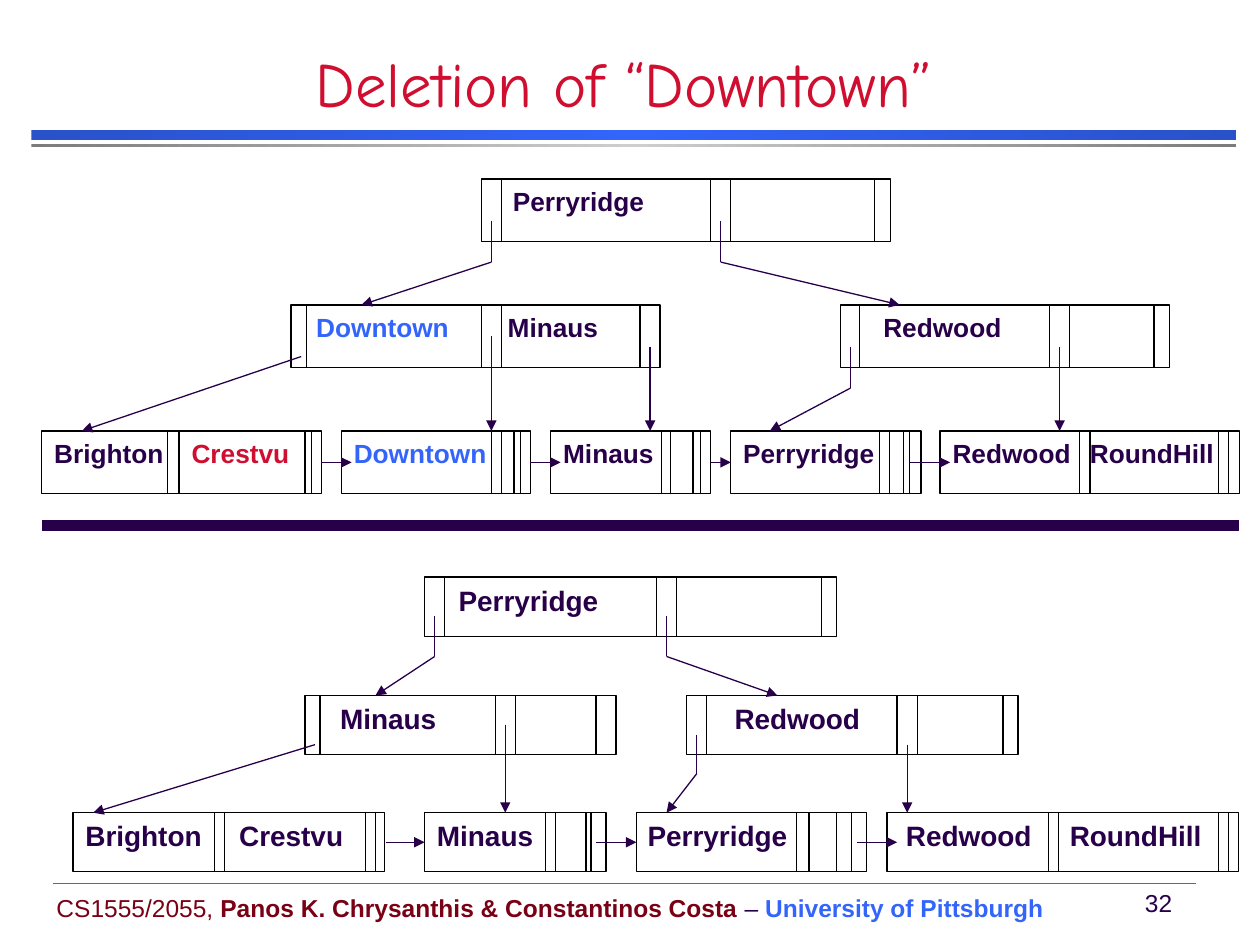
import copy

import pptx
import pptx.dml.color
import pptx.enum.dml
import pptx.enum.shapes
import pptx.enum.text
import pptx.oxml.ns
import pptx.util
from lxml import etree

RGBColor = pptx.dml.color.RGBColor
ALIGN = pptx.enum.text.PP_ALIGN
ANCHOR = pptx.enum.text.MSO_ANCHOR
qn = pptx.oxml.ns.qn

WHITE = RGBColor(0xFF, 0xFF, 0xFF)
BLACK = RGBColor(0x00, 0x00, 0x00)
INK = RGBColor(0x28, 0x00, 0x49)
BLUE = RGBColor(0x33, 0x65, 0xFB)
DARK_BLUE = RGBColor(0x29, 0x51, 0xC9)
RED = RGBColor(0xCF, 0x0E, 0x30)
MAROON = RGBColor(0x79, 0x00, 0x15)
GRAY = RGBColor(0x7C, 0x7C, 0x7C)
SILVER = RGBColor(0xCE, 0xCE, 0xCE)
TEAL = RGBColor(0x00, 0x96, 0x88)

BEFORE = {
    "levels": (1.42, 2.42, 3.42),
    "height": 0.5,
    "size": 15,
    "nodes": [
        (0, 3.82, 3.25, (3.98, 5.64, 5.8, 6.94), [("Perryridge", 4.07, INK)]),
        (1, 2.31, 2.93, (2.43, 3.82, 3.98, 5.08),
         [("Downtown", 2.51, BLUE), ("Minaus", 4.03, INK)]),
        (1, 6.67, 2.61, (6.82, 8.33, 8.49, 9.16), [("Redwood", 7.01, INK)]),
        (2, 0.33, 2.22, (1.33, 1.42, 2.42, 2.47),
         [("Brighton", 0.43, INK), ("Crestvu", 1.52, RED)]),
        (2, 2.71, 1.5, (3.9, 3.98, 4.08, 4.13), [("Downtown", 2.81, BLUE)]),
        (2, 4.37, 1.27, (5.25, 5.32, 5.5, 5.56), [("Minaus", 4.47, INK)]),
        (2, 5.8, 1.51, (6.98, 7.06, 7.17, 7.22), [("Perryridge", 5.9, INK)]),
        (2, 7.46, 2.38, (8.57, 8.65, 9.67, 9.75),
         [("Redwood", 7.56, INK), ("RoundHill", 8.65, INK)]),
    ],
    "pointers": [
        [(3.9, 1.75), (3.9, 2.08), (2.87, 2.42)],
        [(5.72, 1.75), (5.72, 2.08), (7.14, 2.42)],
        [(2.39, 2.83), (0.65, 3.42)],
        [(3.9, 2.67), (3.9, 3.42)],
        [(5.16, 2.75), (5.16, 3.42)],
        [(6.75, 2.75), (6.75, 3.08), (6.11, 3.42)],
        [(8.41, 2.75), (8.41, 3.42)],
    ],
    "leaf_links": [(2.55, 2.79), (4.21, 4.45), (5.64, 5.8), (7.22, 7.54)],
}

AFTER = {
    "levels": (4.58, 5.52, 6.45),
    "height": 0.47,
    "size": 16,
    "nodes": [
        (0, 3.37, 3.27, (3.53, 5.21, 5.37, 6.52), [("Perryridge", 3.64, INK)]),
        (1, 2.42, 2.47, (2.54, 3.93, 4.09, 4.73), [("Minaus", 2.7, INK)]),
        (1, 5.45, 2.63, (5.61, 7.12, 7.28, 7.96), [("Redwood", 5.83, INK)]),
        (2, 0.58, 2.47, (1.7, 1.78, 2.9, 2.98),
         [("Brighton", 0.68, INK), ("Crestvu", 1.9, INK)]),
        (2, 3.37, 1.44, (4.33, 4.41, 4.65, 4.69), [("Minaus", 3.47, INK)]),
        (2, 5.05, 1.83, (6.32, 6.42, 6.64, 6.76), [("Perryridge", 5.14, INK)]),
        (2, 7.04, 2.79, (8.32, 8.4, 9.67, 9.75),
         [("Redwood", 7.19, INK), ("RoundHill", 8.49, INK)]),
    ],
    "pointers": [
        [(3.45, 4.89), (3.45, 5.21), (2.98, 5.52)],
        [(5.29, 4.89), (5.29, 5.21), (6.17, 5.52)],
        [(2.5, 5.91), (0.74, 6.45)],
        [(4.01, 5.75), (4.01, 6.45)],
        [(5.53, 5.83), (5.53, 6.14), (5.29, 6.45)],
        [(7.2, 5.91), (7.2, 6.45)],
    ],
    "leaf_links": [(3.06, 3.37), (4.73, 5.05), (6.8, 7.12)],
}


def inch(value):
    return pptx.util.Cm(value * 2.54)


def add_run(p, text, size=14, color=INK, bold=False, font="Arial"):
    r = p.add_run()
    r.text = text
    r.font.size = pptx.util.Pt(size)
    r.font.color.rgb = color
    r.font.bold = bold
    r.font.name = font


def add_text_box(shapes, box, align=ALIGN.LEFT, anchor=ANCHOR.MIDDLE, wrap=True):
    tf = shapes.add_textbox(*map(inch, box)).text_frame
    tf.word_wrap = wrap
    tf.vertical_anchor = anchor
    p = tf.paragraphs[0]
    p.alignment = align
    return p


def add_rect(shapes, box):
    sp = shapes.add_shape(pptx.enum.shapes.MSO_SHAPE.RECTANGLE, *map(inch, box))
    sp.shadow.inherit = False
    return sp


def add_gradient_bar(shapes, box, edge, middle):
    sp = add_rect(shapes, box)
    sp.line.fill.background()
    sp.fill.gradient()
    sp.fill.gradient_angle = 0
    first = sp._element.spPr.find(".//" + qn("a:gs"))
    first.addnext(copy.deepcopy(first))
    for stop, position, color in zip(sp.fill.gradient_stops, (0, 0.5, 1), (edge, middle, edge)):
        stop.position = position
        stop.color.rgb = color


def add_line(shapes, start, end, color=INK, width=0.75, arrow=False):
    line = shapes.add_connector(
        pptx.enum.shapes.MSO_CONNECTOR.STRAIGHT, *map(inch, (*start, *end)))
    line.line.color.rgb = color
    line.line.width = pptx.util.Pt(width)
    spPr = line._element.spPr
    if arrow:
        etree.SubElement(spPr.find(qn("a:ln")), qn("a:tailEnd"), type="triangle")
    etree.SubElement(spPr, qn("a:effectLst"))


def add_node(shapes, left, top, width, height, dividers, labels, size):
    sp = add_rect(shapes, (left, top, width, height))
    sp.fill.solid()
    sp.fill.fore_color.rgb = WHITE
    sp.line.color.rgb = BLACK
    sp.line.width = pptx.util.Pt(0.75)
    text_left = labels[0][1]
    tf = sp.text_frame
    tf.word_wrap = True
    tf.vertical_anchor = ANCHOR.TOP
    tf.margin_left = inch(text_left - left)
    tf.margin_right = 0
    p = tf.paragraphs[0]
    p.alignment = ALIGN.LEFT
    tabs = etree.SubElement(p._p.get_or_add_pPr(), qn("a:tabLst"))
    for i, (text, x, color) in enumerate(labels):
        if i:
            etree.SubElement(tabs, qn("a:tab"), pos=str(inch(x - text_left)), algn="l")
            text = "\t" + text
        add_run(p, text, size=size, color=color, bold=True)
    for x in dividers:
        add_line(shapes, (x, top), (x, top + height), color=BLACK)


def add_pointer(shapes, points):
    for i, (start, end) in enumerate(zip(points, points[1:]), 2):
        add_line(shapes, start, end, arrow=i == len(points))


def add_tree(s, tree):
    shapes = s.shapes.add_group_shape().shapes
    levels, height = tree["levels"], tree["height"]
    for level, left, width, dividers, labels in tree["nodes"]:
        add_node(shapes, left, levels[level], width, height, dividers, labels, tree["size"])
    for points in tree["pointers"]:
        add_pointer(shapes, points)
    link_y = levels[-1] + height / 2
    for x1, x2 in tree["leaf_links"]:
        add_pointer(shapes, [(x1, link_y), (x2, link_y)])


def add_frame(s):
    add_gradient_bar(s.shapes, (0.25, 1.03, 9.56, 0.08), DARK_BLUE, BLUE)
    add_gradient_bar(s.shapes, (0.25, 1.14, 9.56, 0.03), GRAY, SILVER)
    p = add_text_box(s.shapes, (0.35, 7.04, 8.5, 0.33))
    add_run(p, "CS1555/2055, ", color=MAROON)
    add_run(p, "Panos K. Chrysanthis & Constantinos Costa", color=MAROON, bold=True)
    add_run(p, " – ")
    add_run(p, "University of Pittsburgh", color=BLUE, bold=True)
    p = add_text_box(s.shapes, (8.95, 7, 0.49, 0.33), align=ALIGN.CENTER, wrap=False)
    add_run(p, "32")
    add_line(s.shapes, (0.42, 7.01), (9.49, 7.01), color=TEAL, width=0.25)
    p = add_text_box(s.shapes, (0, 0.42, 9.9, 0.58), align=ALIGN.CENTER, anchor=ANCHOR.BOTTOM)
    add_run(p, "Deletion of “Downtown”", size=36, color=RED, font="Comic Neue")


def main():
    prs = pptx.Presentation()
    prs.slide_width, prs.slide_height = inch(10), inch(7.5)
    s = prs.slides.add_slide(prs.slide_layouts[6])
    add_frame(s)
    add_tree(s, AFTER)
    add_tree(s, BEFORE)
    add_line(s.shapes, (0.33, 4.17), (9.83, 4.17), width=6)
    prs.save("out.pptx")


if __name__ == "__main__":
    main()
